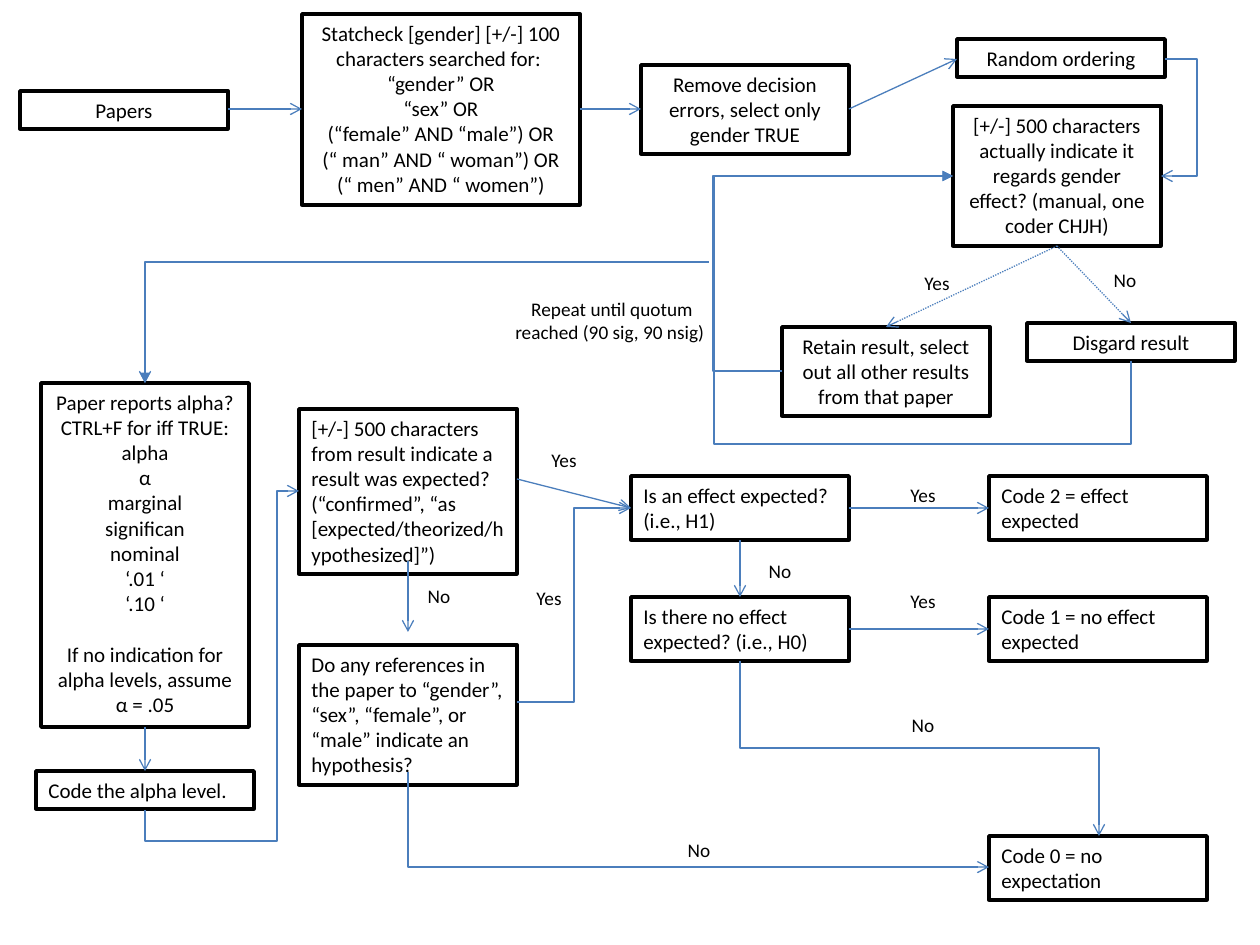
from dataclasses import dataclass

from lxml import etree
from pptx import Presentation
from pptx.dml.color import RGBColor
from pptx.enum.dml import MSO_LINE
from pptx.enum.shapes import MSO_CONNECTOR, MSO_SHAPE
from pptx.enum.text import MSO_AUTO_SIZE, MSO_ANCHOR, PP_ALIGN
from pptx.oxml.ns import qn
from pptx.util import Emu, Pt

PIXEL = 914400 / 126
FONT = "Calibri"
BLACK, WHITE, BLUE = "000000", "FFFFFF", "4B7EBC"
RECTANGLE = MSO_SHAPE.RECTANGLE
STRAIGHT, ELBOW = MSO_CONNECTOR.STRAIGHT, MSO_CONNECTOR.ELBOW
DOTTED = MSO_LINE.ROUND_DOT
CENTER, LEFT = PP_ALIGN.CENTER, PP_ALIGN.LEFT
TOP = MSO_ANCHOR.TOP
FIT_SHAPE = MSO_AUTO_SIZE.SHAPE_TO_FIT_TEXT

NARROW, WIDE = 208, 218
ONE_LINE, TWO_LINES, THREE_LINES, FIVE_LINES = 38, 64, 89, 140
LINE_GAP = 14.6


@dataclass
class Box:
    left: int
    top: int
    width: int
    height: int
    text: str
    align: PP_ALIGN = CENTER
    last_gap: float = 0


@dataclass
class Label:
    left: int
    top: int
    text: str
    width: int = 68
    height: int = 36


@dataclass
class Arrow:
    points: list[tuple[int, int]]
    head: str = "arrow"
    dotted: bool = False


BOXES = [
    # Selection of results
    Box(20, 91, NARROW, ONE_LINE, "Papers"),
    Box(302, 14, 278, 191,
        "Statcheck [gender] [+/-] 100 characters searched for: \n“gender” OR\n“sex” OR\n"
        "(“female” AND “male”) OR\n(“ man” AND “ woman”) OR\n(“ men” AND “ women”)"),
    Box(641, 65, NARROW, THREE_LINES, "Remove decision errors, select only gender TRUE"),
    Box(957, 39, NARROW, ONE_LINE, "Random ordering"),
    Box(953, 106, NARROW, FIVE_LINES,
        "[+/-] 500 characters actually indicate it regards gender effect? "
        "(manual, one coder CHJH)"),
    Box(782, 327, NARROW, THREE_LINES,
        "Retain result, select out all other results from that paper"),
    Box(1027, 323, NARROW, ONE_LINE, "Disgard result"),
    # Alpha level
    Box(41, 383, NARROW, 344,
        "Paper reports alpha? CTRL+F for iff TRUE:\nalpha\nα\nmarginal\nsignifican\nnominal\n"
        "‘.01 ‘\n‘.10 ‘\nIf no indication for alpha levels, assume α = .05",
        last_gap=LINE_GAP),
    Box(36, 771, WIDE, ONE_LINE, "Code the alpha level.", LEFT),
    # Expectation coding
    Box(299, 409, WIDE, 165,
        "[+/-] 500 characters from result indicate a result was expected? "
        "(“confirmed”, “as [expected/theorized/hypothesized]”) ", LEFT),
    Box(299, 645, WIDE, FIVE_LINES,
        "Do any references in the paper to “gender”, “sex”, “female”, or “male” "
        "indicate an hypothesis?", LEFT),
    Box(631, 476, WIDE, TWO_LINES, "Is an effect expected? (i.e., H1)", LEFT),
    Box(631, 597, WIDE, TWO_LINES, "Is there no effect expected? (i.e., H0)", LEFT),
    Box(989, 476, WIDE, TWO_LINES, "Code 2 = effect expected", LEFT),
    Box(989, 597, WIDE, TWO_LINES, "Code 1 = no effect expected", LEFT),
    Box(989, 836, WIDE, TWO_LINES, "Code 0 = no expectation", LEFT),
]

LABELS = [
    Label(903, 265, "Yes"), Label(1091, 262, "No"),
    Label(530, 442, "Yes"), Label(515, 580, "Yes"),
    Label(405, 578, "No"), Label(746, 553, "No"),
    Label(889, 477, "Yes"), Label(889, 583, "Yes"),
    Label(889, 707, "No"), Label(665, 832, "No"),
    Label(501, 291, "Repeat until quotum reached (90 sig, 90 nsig) ", 222, 59),
]

ARROWS = [
    # Selection of results
    Arrow([(228, 109), (302, 109)]),
    Arrow([(580, 109), (641, 109)]),
    Arrow([(849, 109), (957, 59)]),
    Arrow([(1165, 59), (1197, 59), (1197, 176), (1161, 176)]),
    Arrow([(1057, 246), (886, 327)], dotted=True),
    Arrow([(1057, 246), (1131, 323)], dotted=True),
    Arrow([(782, 371), (713, 371), (713, 176), (953, 176)], "triangle"),
    Arrow([(1131, 361), (1131, 444), (714, 444), (714, 176), (953, 176)], "triangle"),
    # Alpha level
    Arrow([(709, 262), (145, 262), (145, 383)], "triangle"),
    Arrow([(145, 339), (145, 383)]),
    Arrow([(145, 727), (145, 771)]),
    Arrow([(145, 810), (145, 841), (277, 841), (277, 491), (299, 491)]),
    # Expectation coding
    Arrow([(517, 479), (631, 508)]),
    Arrow([(408, 561), (408, 632)]),
    Arrow([(517, 702), (574, 702), (574, 508), (631, 508)]),
    Arrow([(408, 772), (408, 867), (989, 867)]),
    Arrow([(740, 540), (740, 597)]),
    Arrow([(849, 508), (989, 508)]),
    Arrow([(849, 629), (989, 629)]),
    Arrow([(740, 661), (740, 748), (1099, 748), (1099, 836)]),
]


def px(value: float) -> Emu:
    return Emu(round(value * PIXEL))


def color(value: str) -> RGBColor:
    return RGBColor.from_string(value)


def write(shape, text: str, size: int, align: PP_ALIGN, last_gap: float = 0) -> None:
    frame = shape.text_frame
    frame.text = text
    frame.word_wrap = True
    frame.auto_size = FIT_SHAPE
    frame.vertical_anchor = TOP
    for para in frame.paragraphs:
        para.alignment = align
        for span in para.runs:
            span.font.name = FONT
            span.font.size = Pt(size)
            span.font.color.rgb = color(BLACK)
    frame.paragraphs[-1].space_before = Pt(last_gap)


def draw_box(page, box: Box) -> None:
    shape = page.shapes.add_shape(
        RECTANGLE, px(box.left), px(box.top), px(box.width), px(box.height))
    shape.shadow.inherit = False
    shape.fill.solid()
    shape.fill.fore_color.rgb = color(WHITE)
    shape.line.color.rgb = color(BLACK)
    shape.line.width = Pt(2)
    write(shape, box.text, 12, box.align, box.last_gap)


def draw_label(page, label: Label) -> None:
    shape = page.shapes.add_textbox(
        px(label.left), px(label.top), px(label.width), px(label.height))
    write(shape, label.text, 11, CENTER)


def bend(connector, points: list[tuple[int, int]]) -> None:
    """Route an elbow connector through right-angled points."""
    (x1, y1), (x2, y2) = points[0], points[-1]
    upright = points[1][0] == x1
    # The preset starts sideways, so a vertical start is a quarter turn
    along, across = (y2 - y1, x1 - x2) if upright else (x2 - x1, y2 - y1)
    width, height = abs(along), abs(across)
    connector.left, connector.top = px((x1 + x2 - width) / 2), px((y1 + y2 - height) / 2)
    connector.width, connector.height = px(width), px(height)

    properties = connector._element.spPr
    frame = properties.find(qn("a:xfrm"))
    for name, value in (("rot", 5400000 * upright), ("flipH", along < 0), ("flipV", across < 0)):
        frame.set(name, str(int(value)))
    geometry = properties.find(qn("a:prstGeom"))
    geometry.set("prst", f"bentConnector{len(points) - 1}")
    guides = geometry.find(qn("a:avLst"))
    for number in range(1, len(points) - 2):
        axis = (number + upright + 1) % 2
        start, end = points[0][axis], points[-1][axis]
        ratio = (points[number][axis] - start) / (end - start)
        etree.SubElement(guides, qn("a:gd"), name=f"adj{number}",
                         fmla=f"val {round(ratio * 100000)}")


def draw_arrow(page, arrow: Arrow) -> None:
    straight = len(arrow.points) == 2
    ends = [px(value) for point in (arrow.points[0], arrow.points[-1]) for value in point]
    connector = page.shapes.add_connector(STRAIGHT if straight else ELBOW, *ends)
    if not straight:
        bend(connector, arrow.points)
    connector.line.color.rgb = color(BLUE)
    connector.line.width = Pt(0.75)
    if arrow.dotted:
        connector.line.dash_style = DOTTED
    properties = connector._element.spPr
    etree.SubElement(properties.find(qn("a:ln")), qn("a:tailEnd"), type=arrow.head)
    etree.SubElement(properties, qn("a:effectLst"))


deck = Presentation()
deck.slide_width, deck.slide_height = px(1260), px(945)
page = deck.slides.add_slide(deck.slide_layouts[6])
for item in BOXES:
    draw_box(page, item)
for item in ARROWS:
    draw_arrow(page, item)
for item in LABELS:
    draw_label(page, item)
deck.save("out.pptx")
